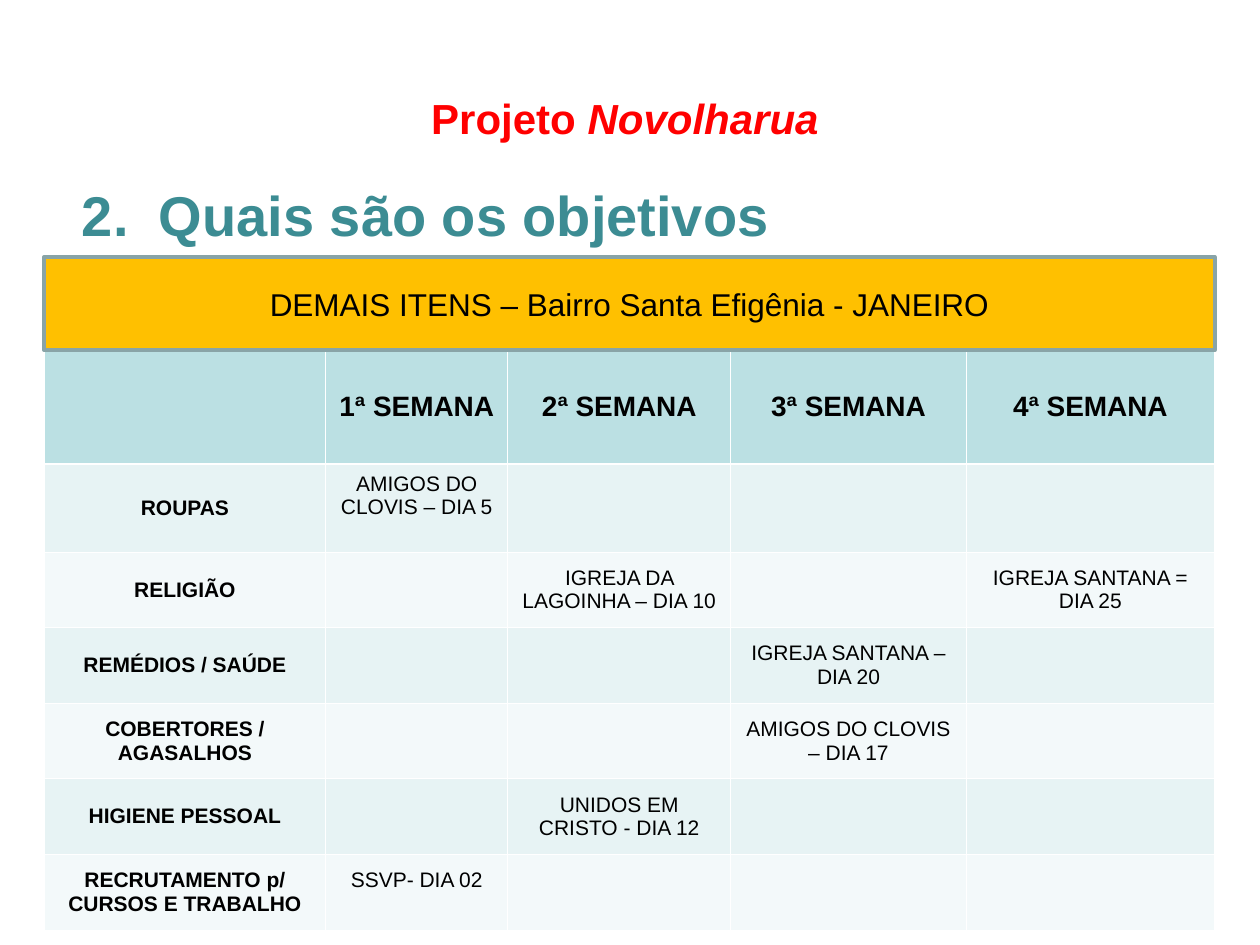
from dataclasses import dataclass

from lxml.etree import SubElement
from pptx import Presentation
from pptx.dml.color import RGBColor
from pptx.enum.shapes import MSO_SHAPE as Shape
from pptx.enum.text import MSO_ANCHOR as Anchor, MSO_AUTO_SIZE as AutoSize, PP_ALIGN as Align
from pptx.oxml.ns import qn
from pptx.util import Pt

FONT = "Arial"
BLACK, WHITE, RED, TEAL = "000000", "FFFFFF", "FF0000", "3C8C93"
AMBER, BANNER_EDGE = "FFC000", "89A4A7"
HEADER_FILL, BANDS = "BBE0E3", ("E7F3F4", "F3F9FA")
THIN, THICK = 0.45, 1.47
CELL_MARGIN = 3.6
RAISED_MARGIN = 17.4  # bottom margin of cells whose text sits one line higher

TABLE_LEFT, TABLE_TOP = 25.2, 200.2
COLUMN_WIDTHS = (161, 104, 127.5, 134.5, 142)
ROW_HEIGHTS = (64.8, 50.4) + (43.2,) * 5
BANNER_HEIGHT = 53.3
WEEKS = ("1ª SEMANA", "2ª SEMANA", "3ª SEMANA", "4ª SEMANA")


@dataclass
class Visit:
    week: int
    text: str
    raised: bool = False


@dataclass
class Need:
    name: str
    visits: tuple[Visit, ...]


NEEDS = (
    Need("ROUPAS", (Visit(1, "AMIGOS DO CLOVIS – DIA 5", raised=True),)),
    Need("RELIGIÃO", (Visit(2, "IGREJA DA LAGOINHA – DIA 10"),
                      Visit(4, "IGREJA SANTANA = DIA 25"))),
    Need("REMÉDIOS / SAÚDE", (Visit(3, "IGREJA SANTANA – DIA 20"),)),
    Need("COBERTORES / AGASALHOS", (Visit(3, "AMIGOS DO CLOVIS – DIA 17"),)),
    Need("HIGIENE PESSOAL", (Visit(2, "UNIDOS EM CRISTO - DIA 12"),)),
    Need("RECRUTAMENTO p/ CURSOS E TRABALHO", (Visit(1, "SSVP- DIA 02", raised=True),)),
)


def color(value: str) -> RGBColor:
    return RGBColor.from_string(value)


def add_text(para, text: str, *, size: float, fill: str = BLACK, bold: bool = False,
             italic: bool = False, align=Align.CENTER) -> None:
    para.alignment = align
    para.space_before = Pt(0)
    span = para.add_run()
    span.text = text
    span.font.name = FONT
    span.font.size = Pt(size)
    span.font.bold = bold
    span.font.italic = italic
    span.font.color.rgb = color(fill)


def place(box, left: float, top: float, width: float, height: float):
    """Move a placeholder and return its first paragraph."""
    box.left, box.top, box.width, box.height = map(Pt, (left, top, width, height))
    frame = box.text_frame
    frame.auto_size = AutoSize.NONE
    frame.word_wrap = True
    frame.vertical_anchor = Anchor.MIDDLE
    return frame.paragraphs[0]


def hang_indent(para, indent: float) -> None:
    """Drop the bullet and set a hanging indent."""
    props = para._p.get_or_add_pPr()
    props.set("marL", str(Pt(indent)))
    props.set("indent", str(-Pt(indent)))
    SubElement(props, qn("a:buNone"))


def set_borders(cell, top: float, bottom: float) -> None:
    props = cell._tc.get_or_add_tcPr()
    for side, width in (("L", THIN), ("R", THIN), ("T", top), ("B", bottom)):
        line = SubElement(props, qn(f"a:ln{side}"), w=str(Pt(width)))
        fill = SubElement(line, qn("a:solidFill"))
        SubElement(fill, qn("a:srgbClr"), val=WHITE)


def style_cell(cell, row: int) -> None:
    set_borders(cell, THICK if row == 1 else THIN, THICK if row == 0 else THIN)
    cell.fill.solid()
    cell.fill.fore_color.rgb = color(BANDS[(row - 1) % 2] if row else HEADER_FILL)
    cell.vertical_anchor = Anchor.MIDDLE
    cell.margin_top = cell.margin_bottom = Pt(CELL_MARGIN)


def add_schedule(page) -> None:
    table = page.shapes.add_table(
        len(ROW_HEIGHTS), len(COLUMN_WIDTHS), Pt(TABLE_LEFT), Pt(TABLE_TOP),
        Pt(sum(COLUMN_WIDTHS)), Pt(sum(ROW_HEIGHTS))).table
    for column, width in zip(table.columns, COLUMN_WIDTHS):
        column.width = Pt(width)
    for index, (row, height) in enumerate(zip(table.rows, ROW_HEIGHTS)):
        row.height = Pt(height)
        for cell in row.cells:
            style_cell(cell, index)

    def write(row: int, column: int, text: str, **style):
        cell = table.cell(row, column)
        add_text(cell.text_frame.paragraphs[0], text, **style)
        return cell

    for column, week in enumerate(WEEKS, start=1):
        write(0, column, week, size=16, bold=True)
    for row, need in enumerate(NEEDS, start=1):
        write(row, 0, need.name, size=12, bold=True)
        for visit in need.visits:
            cell = write(row, visit.week, visit.text, size=12)
            if visit.raised:
                cell.margin_bottom = Pt(RAISED_MARGIN)


def add_banner(page, text: str) -> None:
    banner = page.shapes.add_shape(
        Shape.RECTANGLE, Pt(TABLE_LEFT), Pt(TABLE_TOP - BANNER_HEIGHT),
        Pt(sum(COLUMN_WIDTHS)), Pt(BANNER_HEIGHT))
    banner.shadow.inherit = False
    banner.fill.solid()
    banner.fill.fore_color.rgb = color(AMBER)
    banner.line.color.rgb = color(BANNER_EDGE)
    banner.line.width = Pt(2)
    banner.text_frame.word_wrap = True
    banner.text_frame.vertical_anchor = Anchor.MIDDLE
    add_text(banner.text_frame.paragraphs[0], text, size=18)


def main() -> None:
    deck = Presentation()
    deck.slide_width, deck.slide_height = Pt(720), Pt(540)
    page = deck.slides.add_slide(deck.slide_layouts[1])
    title, body = page.placeholders

    para = place(title, 39.6, 47, 635, 41)
    add_text(para, "Projeto ", size=24, fill=RED, bold=True)
    add_text(para, "Novolharua", size=24, fill=RED, bold=True, italic=True)

    para = place(body, 39.6, 102, 635, 41)
    hang_indent(para, 44)
    add_text(para, "2.\tQuais são os objetivos", size=32, fill=TEAL, bold=True,
             align=Align.LEFT)

    add_schedule(page)
    add_banner(page, "DEMAIS ITENS – Bairro Santa Efigênia - JANEIRO")
    deck.save("out.pptx")


if __name__ == "__main__":
    main()
